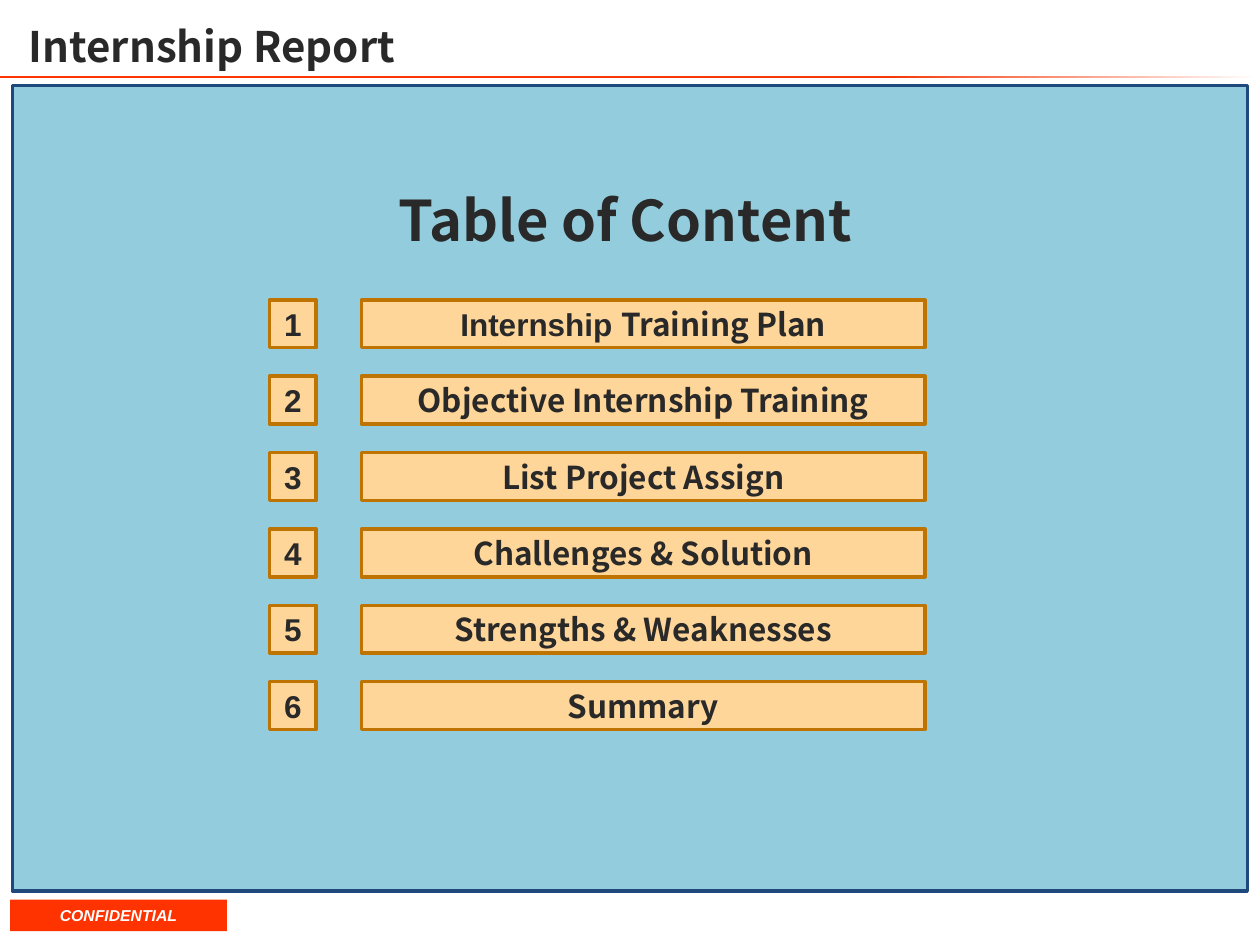
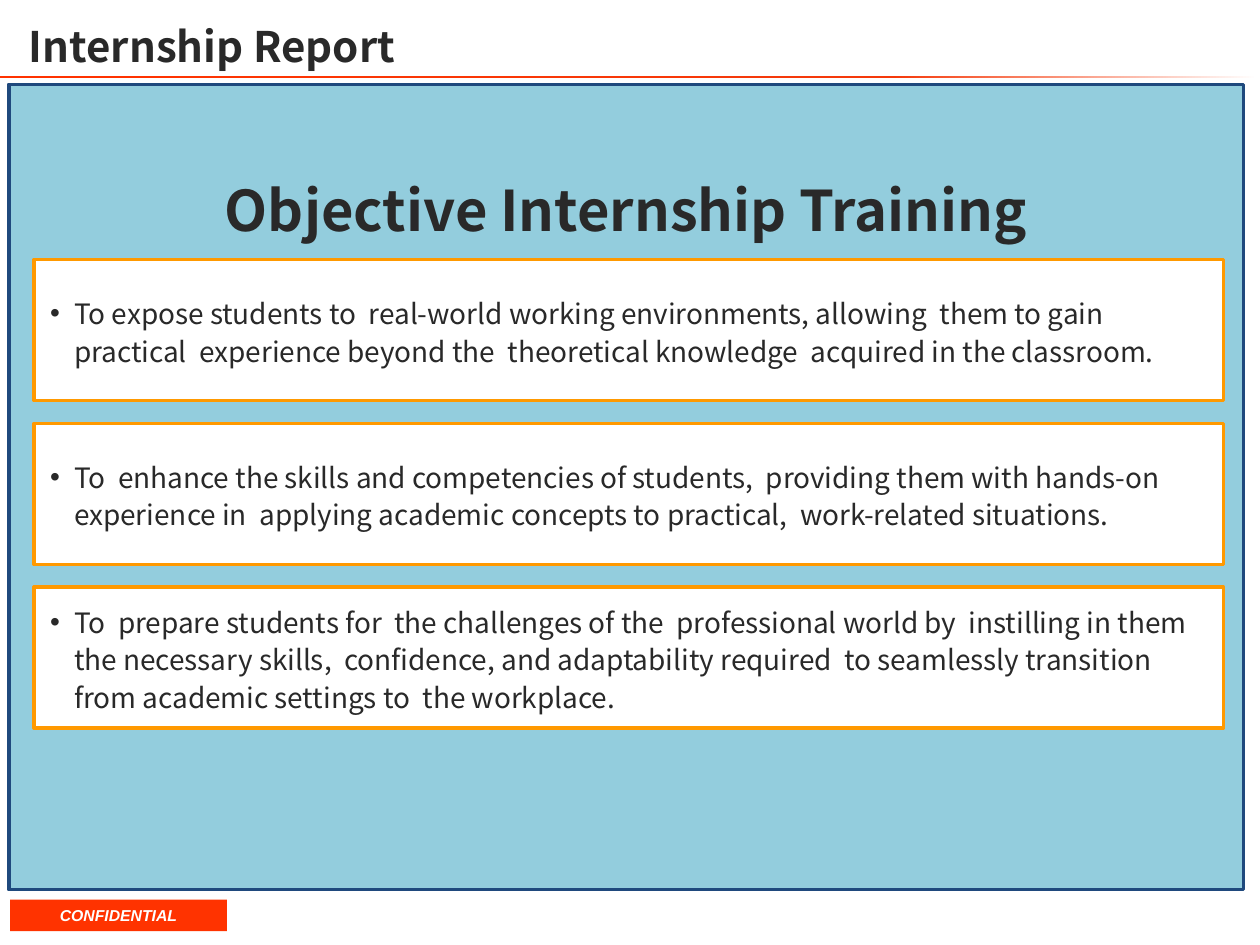
from copy import deepcopy
from dataclasses import dataclass

from lxml.etree import SubElement
from pptx import Presentation
from pptx.dml.color import RGBColor
from pptx.enum.shapes import MSO_SHAPE
from pptx.enum.text import MSO_ANCHOR, PP_ALIGN
from pptx.oxml.ns import qn
from pptx.util import Inches, Pt


@dataclass(frozen=True)
class Theme:
    """Colours, fonts and type sizes shared by the slides."""
    ink: str = "292929"
    white: str = "FFFFFF"
    red: str = "FF3300"
    dark_red: str = "F5390A"
    panel: str = "93CDDD"
    navy: str = "1F497D"
    peach: str = "FFD699"
    brown: str = "BF7300"
    orange: str = "FF9900"
    sans: str = "Arial"
    noto: str = "Noto Sans CJK JP"
    title: int = 24
    heading: int = 32
    topic: int = 18
    body: int = 16
    footer: int = 9
    border: int = 2


class Deck:
    """Holds the theme and the current slide, and draws each kind of element."""

    def __init__(self, prs, theme):
        self.prs, self.theme = prs, theme
        self.slide = None

    def new_slide(self, panel_at, title):
        """Start a slide with its rule, footer, panel and title."""
        t = self.theme
        self.slide = self.prs.slides.add_slide(self.prs.slide_layouts[6])
        self.rule((0, 0.6, 9.98, 0.02))
        tag = self.box((0.08, 7.14, 1.72, 0.25), t.red)
        self.add_runs(tag, [("CONFIDENTIAL", t.sans)], size=t.footer,
                      color=t.white, italic=True)
        self.box((*panel_at, 9.8, 6.39), t.panel, t.navy)
        self.text((0.13, 0.13, 9.74, 0.46), title, t.title, PP_ALIGN.LEFT)

    def box(self, at, fill, line=None):
        """Draw a rectangle with a solid fill and an optional border."""
        sp = self.slide.shapes.add_shape(MSO_SHAPE.RECTANGLE, *map(Inches, at))
        sp.shadow.inherit = False
        sp.fill.solid()
        sp.fill.fore_color.rgb = RGBColor.from_string(fill)
        if line:
            sp.line.color.rgb = RGBColor.from_string(line)
            sp.line.width = Pt(self.theme.border)
        else:
            sp.line.fill.background()
        return sp

    def rule(self, at):
        """Draw the thin line under the title, fading to white."""
        t = self.theme
        sp = self.box(at, t.red)
        sp.fill.gradient()
        sp.fill.gradient_angle = 0
        stops = sp._element.spPr.find(".//" + qn("a:gsLst"))
        stops.append(deepcopy(stops[0]))
        colors = ((0, t.red), (0.71, t.dark_red), (1, t.white))
        for stop, (position, color) in zip(sp.fill.gradient_stops, colors):
            stop.position = position
            stop.color.rgb = RGBColor.from_string(color)

    def text(self, at, text, size, align=PP_ALIGN.CENTER):
        """Add a bold line of text in its own text box."""
        sp = self.slide.shapes.add_textbox(*map(Inches, at))
        self.add_runs(sp, [(text, self.theme.noto)], size=size, align=align)

    def add_runs(self, sp, runs, size, color=None, align=PP_ALIGN.CENTER,
                 bold=True, italic=False):
        """Fill a shape with one paragraph of (text, font) runs."""
        tf = sp.text_frame
        tf.word_wrap = True
        tf.vertical_anchor = MSO_ANCHOR.MIDDLE
        p = tf.paragraphs[0]
        p.alignment = align
        for text, font in runs:
            r = p.add_run()
            r.text = text
            formats = {"name": font, "size": Pt(size), "bold": bold, "italic": italic}
            for name, value in formats.items():
                setattr(r.font, name, value)
            r.font.color.rgb = RGBColor.from_string(color or self.theme.ink)
        return p

    def topic(self, top, number, runs):
        """Draw one numbered row of the table of content."""
        t = self.theme
        for left, width, content in ((2.14, 0.37, [(str(number), t.sans)]),
                                     (2.87, 4.47, runs)):
            sp = self.box((left, top, width, 0.38), t.peach, t.brown)
            self.add_runs(sp, content, size=t.topic)

    def objective(self, top, text):
        """Draw a white card with one bulleted objective."""
        t = self.theme
        sp = self.box((0.27, top, 9.44, 1.12), t.white, t.orange)
        p = self.add_runs(sp, [(text, t.noto)], size=t.body,
                          align=PP_ALIGN.LEFT, bold=False)
        for name, value in {"line_spacing": 1.12, "space_before": Pt(0.9)}.items():
            setattr(p, name, value)
        pPr = p._p.get_or_add_pPr()
        for name, value in {"marL": 0.22, "indent": -0.19}.items():
            pPr.set(name, str(Inches(value)))
        SubElement(pPr, qn("a:buFont")).set("typeface", t.sans)
        SubElement(pPr, qn("a:buChar")).set("char", "•")


def main():
    """Build the two slides and save them."""
    prs = Presentation()
    prs.slide_width, prs.slide_height = Inches(10), Inches(7.5)
    t = Theme()
    s = Deck(prs, t)
    report = "Internship Report"

    s.new_slide((0.1, 0.68), report)
    s.text((1.52, 1.42, 6.89, 0.64), "Table of Content", t.heading)
    topics = [
        [("Internship ", t.sans), ("Training Plan", t.noto)],
        [("Objective Internship Training", t.noto)],
        [("List Project Assign", t.noto)],
        [("Challenges & Solution", t.noto)],
        [("Strengths & Weaknesses", t.noto)],
        [("Summary", t.noto)],
    ]
    for i, runs in enumerate(topics):
        s.topic(2.38 + i * 3.03 / 5, i + 1, runs)

    s.new_slide((0.07, 0.67), report)
    s.text((1.17, 1.34, 7.6, 0.64), "Objective Internship Training", t.heading)
    objectives = [
        "To expose students to  real-world working environments, allowing  them "
        "to gain practical  experience beyond the  theoretical knowledge  "
        "acquired in the classroom.",
        "To  enhance the skills and competencies of students,  providing them "
        "with hands-on experience in  applying academic concepts to practical,  "
        "work-related situations.",
        "To  prepare students for  the challenges of the  professional world by  "
        "instilling in them the necessary skills,  confidence, and adaptability "
        "required  to seamlessly transition from academic settings to  "
        "the workplace.",
    ]
    for i, text in enumerate(objectives):
        s.objective(2.06 + i * 1.3, text)

    prs.save("out.pptx")


if __name__ == "__main__":
    main()
